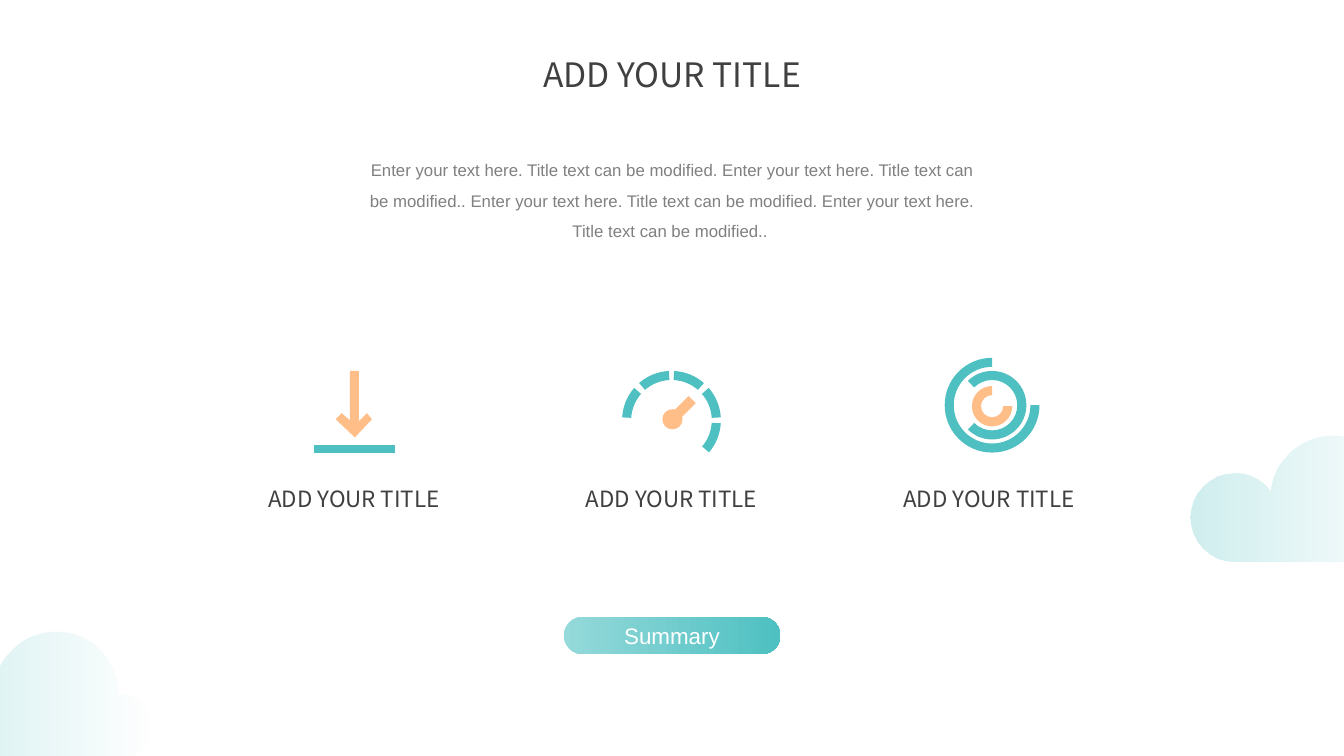
"""Builds a summary slide with three icon columns between two clouds."""
from math import cos, radians, sin, tan

from lxml import etree
from pptx import Presentation
from pptx.dml.color import RGBColor
from pptx.enum.shapes import MSO_SHAPE
from pptx.enum.text import MSO_ANCHOR, MSO_AUTO_SIZE, PP_ALIGN
from pptx.oxml.ns import qn
from pptx.util import Inches, Pt

PILL = MSO_SHAPE.ROUNDED_RECTANGLE
CENTER = PP_ALIGN.CENTER
MIDDLE = MSO_ANCHOR.MIDDLE
GROW = MSO_AUTO_SIZE.SHAPE_TO_FIT_TEXT
NO_FIT = MSO_AUTO_SIZE.NONE

COLORS = {
    "teal": "4EC0C1",
    "light_teal": "95D9DA",
    "peach": "FFBD87",
    "heading": "404040",
    "body": "808080",
    "white": "FFFFFF",
}
HEADING_FONT = "Noto Sans CJK TC"
BODY_FONT = "Arial"

prs = Presentation()
prs.slide_width = Inches(13.33)
prs.slide_height = Inches(7.5)
slide = prs.slides.add_slide(prs.slide_layouts[5])


def arc(cx, cy, radius, start, end):
    """Return a start point and one Bezier triple per quadrant of an arc."""
    low, high = sorted((start, end))
    quadrants = [q for q in range(-360, 721, 90) if low < q < high]
    stops = sorted([start, *quadrants, end], reverse=start > end)
    segments = [[(cx + radius * cos(radians(start)), cy + radius * sin(radians(start)))]]
    for first, last in zip(stops, stops[1:]):
        a, b = radians(first), radians(last)
        pull = 4 / 3 * tan((b - a) / 4)
        segments.append([
            (cx + radius * (cos(a) - pull * sin(a)), cy + radius * (sin(a) + pull * cos(a))),
            (cx + radius * (cos(b) + pull * sin(b)), cy + radius * (sin(b) - pull * cos(b))),
            (cx + radius * cos(b), cy + radius * sin(b)),
        ])
    return segments


def add_outline(segments, color):
    """Draw a closed outline; one point is a line, three points are a curve."""
    corners = [(Inches(x), Inches(y)) for segment in segments for x, y in segment]
    builder = slide.shapes.build_freeform(*corners[0])
    builder.add_line_segments(corners[1:], close=True)
    outline = builder.convert_to_shape()
    lines = iter(list(outline._element.iter(qn("a:lnTo"))))
    for segment in segments[1:]:
        steps = [next(lines) for _ in segment]
        if len(steps) == 3:
            curve = etree.Element(qn("a:cubicBezTo"))
            steps[0].addprevious(curve)
            for step in steps:
                curve.append(step[0])
                step.getparent().remove(step)
    outline.shadow.inherit = False
    outline.line.fill.background()
    outline.fill.solid()
    outline.fill.fore_color.rgb = RGBColor.from_string(COLORS[color])
    return outline


cloud_segments = (
    arc(13.22, 4.94, 0.62, 360, 186)
    + arc(12.25, 5.13, 0.44, 323, 90)
    + arc(13.86, 5.25, 0.32, 90, -90)
)
for dx, dy in [(0, 0), (-12.67, 1.95)]:
    cloud = add_outline(
        [[(x + dx, y + dy) for x, y in segment] for segment in cloud_segments], "teal")
    cloud.fill.gradient()
    cloud.fill.gradient_angle = 0
    for stop in cloud.fill.gradient_stops:
        stop.color.rgb = RGBColor.from_string(COLORS["teal"])
    for rgb, opacity in zip(cloud._element.iter(qn("a:srgbClr")), (27000, 0)):
        etree.SubElement(rgb, qn("a:alpha")).set("val", str(opacity))

title = slide.shapes.title
title.left, title.top, title.width, title.height = map(Inches, (5.23, 0.53, 2.87, 0.46))
title.text_frame.text = "ADD YOUR TITLE"
title.text_frame.word_wrap = False
title.text_frame.auto_size = NO_FIT
title.text_frame.vertical_anchor = MIDDLE
heading = title.text_frame.paragraphs[0]
heading.alignment = CENTER
heading.line_spacing = 0.9
heading.font.name = HEADING_FONT
heading.font.size = Pt(24)
heading.font.color.rgb = RGBColor.from_string(COLORS["heading"])

intro = slide.shapes.add_textbox(Inches(3.52), Inches(1.44), Inches(6.3), Inches(1.28))
intro.text_frame.word_wrap = True
intro.text_frame.auto_size = GROW
intro.text_frame.text = (
    "Enter your text here. Title text can be modified. "
    "Enter your text here. Title text can be modified.. "
    "Enter your text here. Title text can be modified. "
    "Enter your text here. Title text can be modified.. "
)
intro_text = intro.text_frame.paragraphs[0]
intro_text.alignment = CENTER
intro_text.line_spacing = 1.5
intro_text.font.name = BODY_FONT
intro_text.font.size = Pt(12)
intro_text.font.color.rgb = RGBColor.from_string(COLORS["body"])

arrow_points = [
    (3.47, 3.68), (3.47, 4.17), (3.39, 4.1), (3.33, 4.16), (3.52, 4.34),
    (3.69, 4.16), (3.64, 4.1), (3.56, 4.18), (3.56, 3.68),
]
tray_points = [(3.11, 4.41), (3.92, 4.41), (3.92, 4.49), (3.11, 4.49)]
add_outline([[point] for point in arrow_points], "peach")
add_outline([[point] for point in tray_points], "teal")

gauge_segments = [(183.5, 221), (229, 267), (273, 311), (319, 356.5), (3.5, 40.5)]
rings = [(6.66, 4.17, 0.49, 0.4, start, end, "teal") for start, end in gauge_segments]
rings += [
    (9.84, 4.02, 0.47, 0.38, 0, 270, "teal"),
    (9.84, 4.02, 0.34, 0.25, -135, 135, "teal"),
    (9.84, 4.03, 0.2, 0.11, 0, 270, "peach"),
]
for cx, cy, outer, inner, start, end, color in rings:
    add_outline(arc(cx, cy, outer, start, end) + arc(cx, cy, inner, end, start), color)

needle_tip = [[(6.83, 3.93)], [(6.9, 4)]]
add_outline(arc(6.67, 4.16, 0.1, 345, 645) + needle_tip, "peach")

for column in range(3):
    label = slide.shapes.add_textbox(
        Inches(2.52 + column * 3.15), Inches(4.76), Inches(1.98), Inches(0.37))
    label.text_frame.word_wrap = False
    label.text_frame.auto_size = GROW
    label.text_frame.text = "ADD YOUR TITLE"
    caption = label.text_frame.paragraphs[0]
    caption.alignment = CENTER
    caption.font.name = HEADING_FONT
    caption.font.size = Pt(16)
    caption.font.color.rgb = RGBColor.from_string(COLORS["heading"])

summary = slide.shapes.add_shape(PILL, Inches(5.59), Inches(6.12), Inches(2.15), Inches(0.37))
summary.adjustments[0] = 0.5
summary.shadow.inherit = False
summary.line.fill.background()
summary.fill.gradient()
summary.fill.gradient_angle = 0
for stop, color in zip(summary.fill.gradient_stops, ("light_teal", "teal")):
    stop.color.rgb = RGBColor.from_string(COLORS[color])
summary.text_frame.text = "Summary"
summary.text_frame.word_wrap = False
summary.text_frame.vertical_anchor = MIDDLE
summary_text = summary.text_frame.paragraphs[0]
summary_text.alignment = CENTER
summary_text.font.name = BODY_FONT
summary_text.font.size = Pt(16)
summary_text.font.color.rgb = RGBColor.from_string(COLORS["white"])

prs.save("out.pptx")
